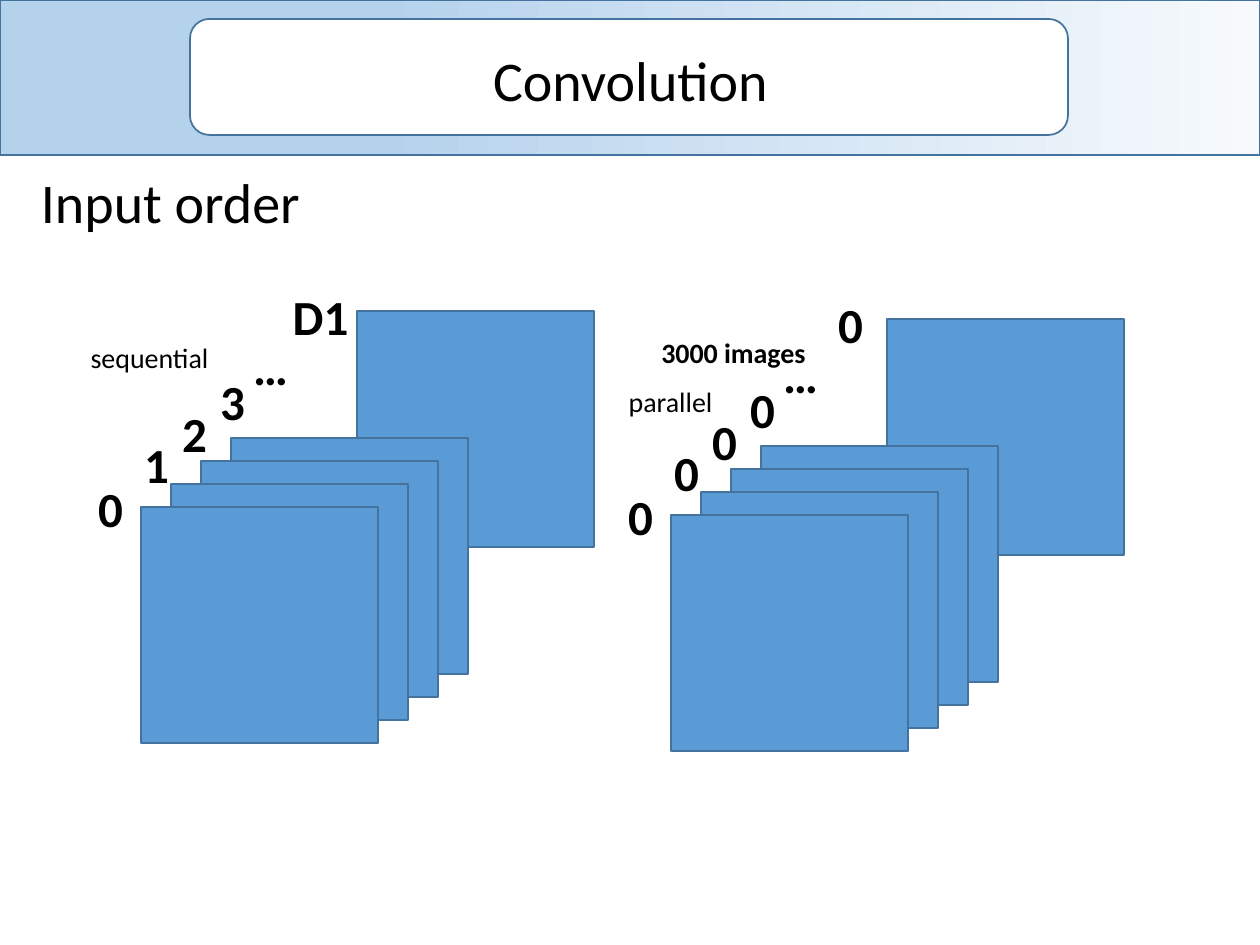
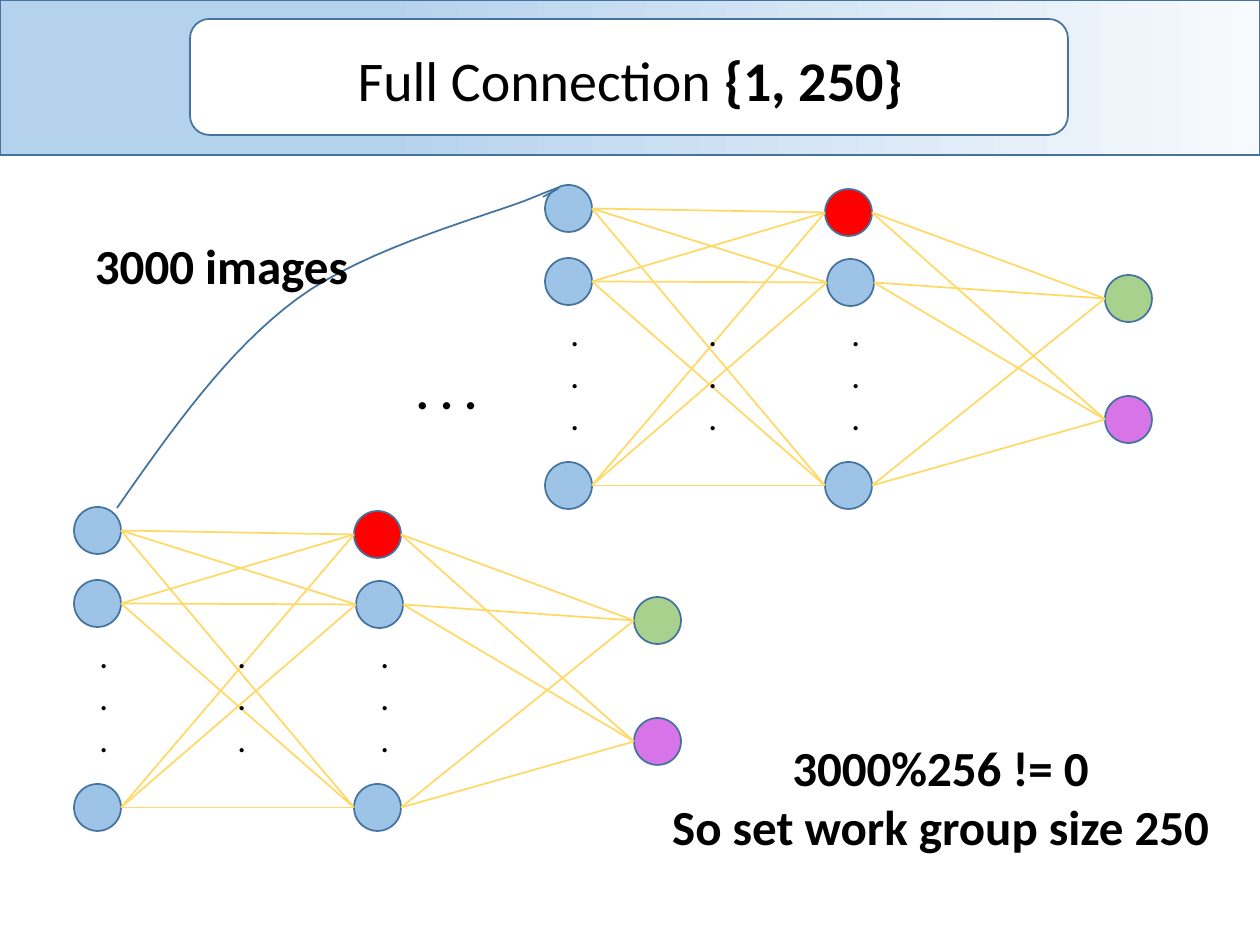
from dataclasses import dataclass
from itertools import product
from typing import NamedTuple

from lxml import etree
from pptx import Presentation
from pptx.dml.color import RGBColor
from pptx.enum.shapes import MSO_CONNECTOR, MSO_SHAPE
from pptx.enum.text import MSO_AUTO_SIZE, PP_ALIGN
from pptx.oxml.ns import qn
from pptx.shapes.autoshape import Shape
from pptx.shapes.shapetree import GroupShapes, SlideShapes
from pptx.slide import Slide
from pptx.util import Emu, Inches, Pt

RECTANGLE = MSO_SHAPE.RECTANGLE
ROUNDED = MSO_SHAPE.ROUNDED_RECTANGLE
OVAL = MSO_SHAPE.OVAL
STRAIGHT = MSO_CONNECTOR.STRAIGHT
GROW = MSO_AUTO_SIZE.SHAPE_TO_FIT_TEXT
LEFT, CENTER = PP_ALIGN.LEFT, PP_ALIGN.CENTER

PIXELS_PER_INCH = 126
FONT = "Calibri"
TITLE_SIZE, LABEL_SIZE, DOT_SIZE, NOTE_SIZE = 32, 28, 20, 16
COLOURS = {
    "text": "000000",
    "white": "FFFFFF",
    "outline": "43739E",
    "band_pale": "F7FAFD",
    "band_blue": "B5D2EC",
    "image": "5B9BD5",
    "neuron": "9DC3E6",
    "first_hidden": "FF0000",
    "first_output": "A9D18E",
    "second_output": "D774E8",
    "link": "FFD966",
}

ShapeTree = SlideShapes | GroupShapes


class Point(NamedTuple):
    x: float
    y: float

    def shifted(self, offset: "Point") -> "Point":
        return Point(self.x + offset.x, self.y + offset.y)


class Box(NamedTuple):
    left: int
    top: int
    width: int
    height: int


@dataclass(frozen=True)
class Caption:
    text: str
    centre: int
    top: int
    size: int = LABEL_SIZE
    bold: bool = False
    bold_tail: str = ""
    width: int = 873
    alignment: PP_ALIGN = CENTER
    wrap: bool = True


@dataclass(frozen=True)
class Neuron:
    position: Point
    colour: str = "neuron"


CANVAS_WIDTH, CANVAS_HEIGHT = 1260, 945
BAND = Box(0, 0, CANVAS_WIDTH, 155)
TITLE_CARD = Box(190, 19, 878, 116)
TITLE_TOP = 39

IMAGE_WIDTH, IMAGE_HEIGHT = 237, 236
FRONT_IMAGE = Point(141, 507)
LAST_IMAGE = Point(357, 311)
IMAGE_STEP = Point(30, -23)
FRONT_COUNT = 4
STACK_ORIGINS = (Point(0, 0), Point(530, 8))
INDEX_PLACES = (
    Point(110, 472), Point(156, 428), Point(194, 397),
    Point(232, 365), Point(270, 330), Point(320, 280),
)
STACK_INDICES = (("0", "1", "2", "3", "…", "D1"), ("0", "0", "0", "0", "…", "0"))

NEURON_SIZE = 47
LAYERS = (
    (Neuron(Point(0, 0)), Neuron(Point(0, 73)), Neuron(Point(0, 277))),
    (Neuron(Point(280, 4), "first_hidden"), Neuron(Point(282, 74)), Neuron(Point(280, 277))),
    (Neuron(Point(560, 90), "first_output"), Neuron(Point(560, 211), "second_output")),
)
DOT_CENTRES = (30, 168, 311)
DOTS_TOP, DOTS_WIDTH = 120, 34
NETWORK_ORIGINS = (Point(545, 185), Point(74, 507))

CURVE_START = Point(117, 508)
CURVE_PIECES = (
    (Point(173, 428), Point(228, 350), Point(297, 299)),
    (Point(367, 247), Point(491, 215), Point(532, 198)),
    (Point(573, 181), Point(558, 189), Point(543, 197)),
)
CURVE_SAMPLES = 16


def pixels(length: float) -> Emu:
    return Emu(round(length * Inches(1) / PIXELS_PER_INCH))


def colour(name: str) -> RGBColor:
    return RGBColor.from_string(COLOURS[name])


def outline(shape: Shape) -> None:
    shape.shadow.inherit = False
    shape.line.color.rgb = colour("outline")
    shape.line.width = Pt(1)


def add_figure(shapes: ShapeTree, kind: MSO_SHAPE, box: Box, fill: str) -> Shape:
    shape = shapes.add_shape(kind, *map(pixels, box))
    outline(shape)
    shape.fill.solid()
    shape.fill.fore_color.rgb = colour(fill)
    return shape


def add_caption(shapes: ShapeTree, caption: Caption) -> None:
    lines = caption.text.split("\n")
    height = round(len(lines) * caption.size * 2.135 + 12.6)
    left = caption.centre - caption.width // 2
    box = Box(left, caption.top, caption.width, height)
    frame = shapes.add_textbox(*map(pixels, box)).text_frame
    for name, value in {"word_wrap": caption.wrap, "auto_size": GROW}.items():
        setattr(frame, name, value)
    for index, line in enumerate(lines):
        paragraph = frame.add_paragraph() if index else frame.paragraphs[0]
        paragraph.alignment = caption.alignment
        runs = [(line, caption.bold)]
        if caption.bold_tail:
            runs.append((caption.bold_tail, True))
        for text, bold in runs:
            run = paragraph.add_run()
            run.text = text
            formats = {"name": FONT, "size": Pt(caption.size), "bold": bold}
            for name, value in formats.items():
                setattr(run.font, name, value)
            run.font.color.rgb = colour("text")


def add_titled_slide(presentation: Presentation, title: str, bold_tail: str = "") -> Slide:
    slide = presentation.slides.add_slide(presentation.slide_layouts[6])
    band = add_figure(slide.shapes, RECTANGLE, BAND, "band_blue")
    band.fill.gradient()
    band.fill.gradient_angle = 180
    stops = ((0, "band_pale"), (0.7, "band_blue"))
    for stop, (position, name) in zip(band.fill.gradient_stops, stops):
        stop.position = position
        stop.color.rgb = colour(name)
    add_figure(slide.shapes, ROUNDED, TITLE_CARD, "white")
    heading = Caption(title, CANVAS_WIDTH // 2, TITLE_TOP, TITLE_SIZE, bold_tail=bold_tail)
    add_caption(slide.shapes, heading)
    return slide


def add_stack(shapes: ShapeTree, origin: Point, indices: tuple[str, ...]) -> None:
    places = [LAST_IMAGE]
    for depth in reversed(range(FRONT_COUNT)):
        places.append(FRONT_IMAGE.shifted(Point(depth * IMAGE_STEP.x, depth * IMAGE_STEP.y)))
    for place in places:
        left, top = place.shifted(origin)
        add_figure(shapes, RECTANGLE, Box(left, top, IMAGE_WIDTH, IMAGE_HEIGHT), "image")
    for text, place in zip(indices, INDEX_PLACES):
        add_caption(shapes, Caption(text, *place.shifted(origin), bold=True))


def add_link(shapes: ShapeTree, start: Point, end: Point) -> None:
    connector = shapes.add_connector(STRAIGHT, *map(pixels, (*start, *end)))
    connector.line.color.rgb = colour("link")
    connector.line.width = Pt(1)
    etree.SubElement(connector.element.spPr, qn("a:effectLst"))


def add_network(shapes: ShapeTree, origin: Point) -> None:
    members = shapes.add_group_shape().shapes
    for layer in LAYERS:
        for neuron in layer:
            left, top = neuron.position.shifted(origin)
            add_figure(members, OVAL, Box(left, top, NEURON_SIZE, NEURON_SIZE), neuron.colour)
    right_edge = origin.shifted(Point(NEURON_SIZE, NEURON_SIZE / 2))
    left_edge = origin.shifted(Point(0, NEURON_SIZE / 2))
    for sources, targets in zip(LAYERS, LAYERS[1:]):
        for source, target in product(sources, targets):
            start = source.position.shifted(right_edge)
            add_link(members, start, target.position.shifted(left_edge))
    for centre in DOT_CENTRES:
        place = Point(centre, DOTS_TOP).shifted(origin)
        add_caption(members, Caption(".\n.\n.", *place, DOT_SIZE, width=DOTS_WIDTH,
                                     alignment=LEFT, wrap=False))


def bezier_point(controls: tuple[Point, ...], t: float) -> Point:
    weights = ((1 - t) ** 3, 3 * t * (1 - t) ** 2, 3 * t**2 * (1 - t), t**3)
    return Point(
        sum(weight * point.x for weight, point in zip(weights, controls)),
        sum(weight * point.y for weight, point in zip(weights, controls)),
    )


def add_curve(shapes: SlideShapes) -> None:
    points = []
    start = CURVE_START
    for piece in CURVE_PIECES:
        for sample in range(1, CURVE_SAMPLES + 1):
            x, y = bezier_point((start, *piece), sample / CURVE_SAMPLES)
            points.append((pixels(x), pixels(y)))
        start = piece[-1]
    builder = shapes.build_freeform(*map(pixels, CURVE_START))
    builder.add_line_segments(points, close=False)
    curve = builder.convert_to_shape()
    curve.fill.background()
    outline(curve)


def build_convolution(presentation: Presentation) -> None:
    shapes = add_titled_slide(presentation, "Convolution").shapes
    for origin, indices in zip(STACK_ORIGINS, STACK_INDICES):
        add_stack(shapes, origin, indices)
    for caption in (
        Caption("3000 images", 733, 329, NOTE_SIZE, bold=True),
        Caption("Input order", 170, 161, TITLE_SIZE),
        Caption("sequential", 149, 334, NOTE_SIZE),
        Caption("parallel", 670, 378, NOTE_SIZE),
    ):
        add_caption(shapes, caption)


def build_full_connection(presentation: Presentation) -> None:
    shapes = add_titled_slide(presentation, "Full Connection ", "{1, 250}").shapes
    for origin in NETWORK_ORIGINS:
        add_network(shapes, origin)
    add_curve(shapes)
    for caption in (
        Caption(". . .", 446, 354, bold=True),
        Caption("3000 images", 221, 229, bold=True),
        Caption("3000%256 != 0\nSo set work group size 250", 940, 731, bold=True),
    ):
        add_caption(shapes, caption)


def main() -> None:
    presentation = Presentation()
    presentation.slide_width = pixels(CANVAS_WIDTH)
    presentation.slide_height = pixels(CANVAS_HEIGHT)
    build_convolution(presentation)
    build_full_connection(presentation)
    presentation.save("out.pptx")


main()
